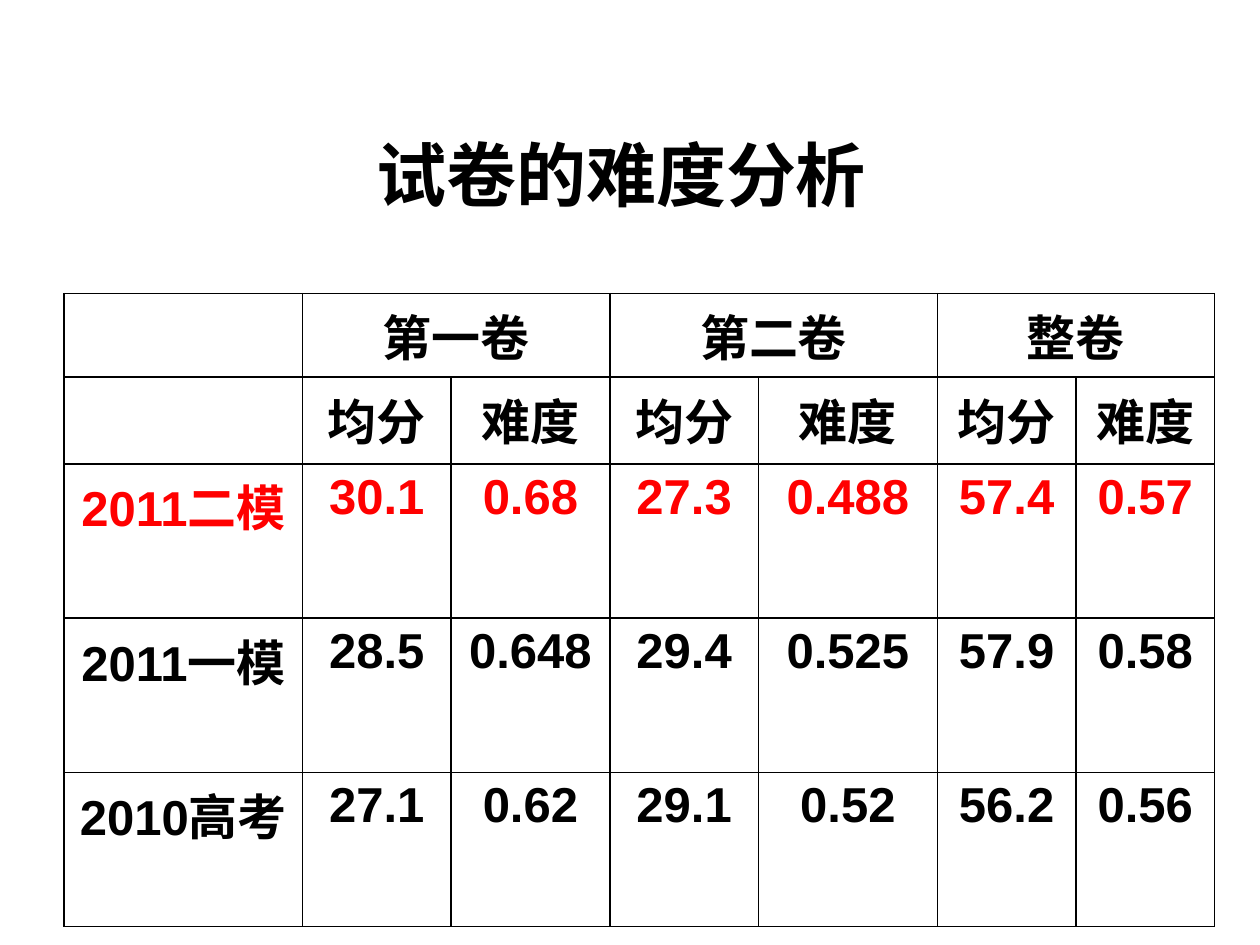
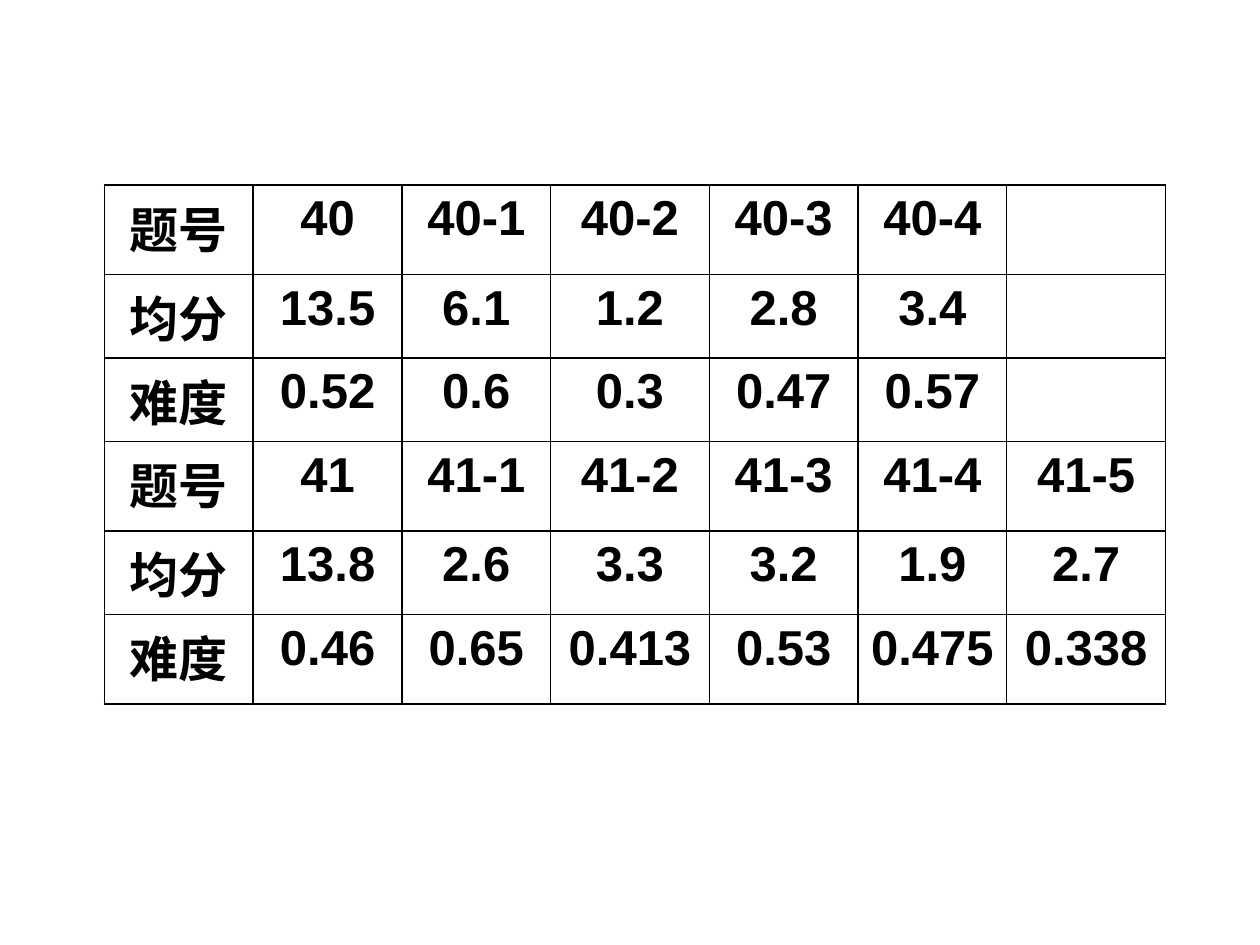
from dataclasses import dataclass, field

from lxml.etree import SubElement
from pptx import Presentation
from pptx.dml.color import RGBColor
from pptx.enum.text import MSO_ANCHOR as Anchor, PP_ALIGN as Align
from pptx.oxml.ns import qn
from pptx.slide import Slide
from pptx.table import _Cell as Cell
from pptx.text.text import _Paragraph as Paragraph
from pptx.util import Inches, Pt


@dataclass(frozen=True)
class Theme:
    font: str = "Arial"
    ink: str = "000000"
    highlight: str = "FF0000"
    title_size: int = 40
    cell_size: int = 28
    border_width: int = 1


@dataclass(frozen=True)
class ScoreTable:
    left: float
    top: float
    widths: list[float]
    heights: list[float]
    rows: list[list[str]]
    header_pairs: list[int] = field(default_factory=list)
    highlighted_row: int | None = None


THEME = Theme()
LAYOUT_TITLE_ONLY, LAYOUT_BLANK = 5, 6

DIFFICULTY = ScoreTable(
    left=0.51,
    top=2.33,
    widths=[1.89, 1.18, 1.26, 1.18, 1.42, 1.1, 1.1],
    heights=[0.55, 0.69, 0.71, 0.63, 0.57],
    rows=[
        ["", "第一卷", "", "第二卷", "", "整卷", ""],
        [""] + ["均分", "难度"] * 3,
        ["2011二模", "30.1", "0.68", "27.3", "0.488", "57.4", "0.57"],
        ["2011一模", "28.5", "0.648", "29.4", "0.525", "57.9", "0.58"],
        ["2010高考", "27.1", "0.62", "29.1", "0.52", "56.2", "0.56"],
    ],
    header_pairs=[1, 3, 5],
    highlighted_row=2,
)

QUESTIONS = ScoreTable(
    left=0.83,
    top=1.47,
    widths=[1.18, 1.18, 1.18, 1.26, 1.18, 1.18, 1.26],
    heights=[0.71, 0.63, 0.63, 0.71, 0.63, 0.71],
    rows=[
        ["题号", "40", "40-1", "40-2", "40-3", "40-4", ""],
        ["均分", "13.5", "6.1", "1.2", "2.8", "3.4", ""],
        ["难度", "0.52", "0.6", "0.3", "0.47", "0.57", ""],
        ["题号", "41", "41-1", "41-2", "41-3", "41-4", "41-5"],
        ["均分", "13.8", "2.6", "3.3", "3.2", "1.9", "2.7"],
        ["难度", "0.46", "0.65", "0.413", "0.53", "0.475", "0.338"],
    ],
)


def style_paragraph(paragraph: Paragraph, size: int, color: str) -> None:
    paragraph.alignment = Align.CENTER
    font = paragraph.font
    font.name = THEME.font
    font.size = Pt(size)
    font.bold = True
    font.color.rgb = RGBColor.from_string(color)


def add_title(slide: Slide, text: str) -> None:
    title = slide.shapes.title
    title.left, title.top = Inches(0.43), Inches(0.99)
    title.width, title.height = Inches(9), Inches(0.77)
    frame = title.text_frame
    frame.text = text
    frame.vertical_anchor = Anchor.MIDDLE
    style_paragraph(frame.paragraphs[0], THEME.title_size, THEME.ink)


def add_borders(cell: Cell) -> None:
    properties = cell._tc.get_or_add_tcPr()
    for side in ("a:lnL", "a:lnR", "a:lnT", "a:lnB"):
        line = SubElement(properties, qn(side), w=str(Pt(THEME.border_width)))
        fill = SubElement(line, qn("a:solidFill"))
        SubElement(fill, qn("a:srgbClr"), val=THEME.ink)


def add_score_table(slide: Slide, scores: ScoreTable) -> None:
    table = slide.shapes.add_table(
        len(scores.heights), len(scores.widths),
        Inches(scores.left), Inches(scores.top),
        Inches(sum(scores.widths)), Inches(sum(scores.heights)),
    ).table
    table.first_row = table.horz_banding = False
    for column, width in zip(table.columns, scores.widths):
        column.width = Inches(width)
    for row, height in zip(table.rows, scores.heights):
        row.height = Inches(height)
    for row_index, values in enumerate(scores.rows):
        highlighted = row_index == scores.highlighted_row
        color = THEME.highlight if highlighted else THEME.ink
        for column_index, value in enumerate(values):
            cell = table.cell(row_index, column_index)
            add_borders(cell)
            cell.fill.background()
            if value:
                cell.text = value
                style_paragraph(cell.text_frame.paragraphs[0], THEME.cell_size, color)
    for first in scores.header_pairs:
        table.cell(0, first).merge(table.cell(0, first + 1))


def main() -> None:
    deck = Presentation()
    deck.slide_width, deck.slide_height = Inches(10), Inches(7.5)

    difficulty_slide = deck.slides.add_slide(deck.slide_layouts[LAYOUT_TITLE_ONLY])
    add_title(difficulty_slide, "试卷的难度分析")
    add_score_table(difficulty_slide, DIFFICULTY)

    question_slide = deck.slides.add_slide(deck.slide_layouts[LAYOUT_BLANK])
    add_score_table(question_slide, QUESTIONS)

    deck.save("out.pptx")


if __name__ == "__main__":
    main()
